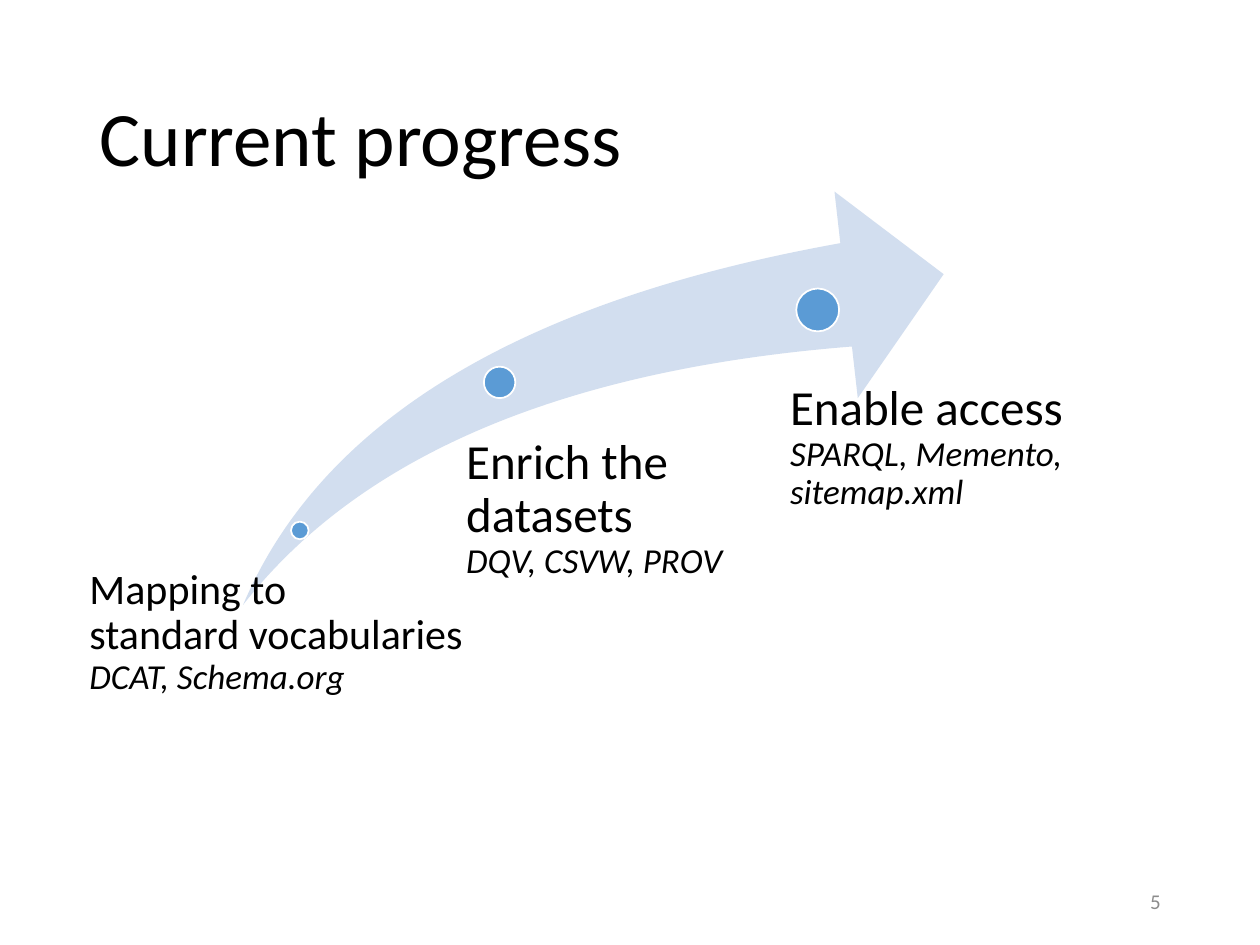
"""Build the "Current progress" slide with three milestones along a swoosh arrow."""
from pptx import Presentation
from pptx.dml.color import RGBColor
from pptx.enum.shapes import MSO_SHAPE
from pptx.enum.text import MSO_ANCHOR, PP_ALIGN
from pptx.util import Inches, Pt

SWOOSH, OVAL = MSO_SHAPE.SWOOSH_ARROW, MSO_SHAPE.OVAL
TOP, MIDDLE = MSO_ANCHOR.TOP, MSO_ANCHOR.MIDDLE
LEFT, RIGHT = PP_ALIGN.LEFT, PP_ALIGN.RIGHT
FONT = "Calibri"
COLORS = {
    "text": "000000",
    "number": "8C8C8C",
    "arrow": "D2DEEF",
    "dot": "5B9BD5",
    "outline": "FFFFFF",
}
MILESTONES = [
    {"dot": (2.31, 4.14, 0.14), "label": (0.64, 4.51, 3.06, 0.21), "inset": 0.07,
     "size": 24, "heading": ["Mapping to", "standard vocabularies"],
     "detail": "DCAT, Schema.org"},
    {"dot": (3.84, 2.91, 0.25), "label": (3.57, 3.47, 2.25, 0.73), "inset": 0.13,
     "size": 28, "heading": ["Enrich the datasets"],
     "detail": "DQV, CSVW, PROV"},
    {"dot": (6.32, 2.29, 0.34), "label": (6.09, 3.04, 2.48, 1.17), "inset": 0.18,
     "size": 28, "heading": ["Enable access"],
     "detail": "SPARQL, Memento, sitemap.xml"},
]


def color(name):
    return RGBColor.from_string(COLORS[name])


def add_run(paragraph, text, size, color_name="text", italic=False):
    run = paragraph.add_run()
    run.text = text
    run.font.name = FONT
    run.font.size = Pt(size)
    run.font.italic = italic
    run.font.color.rgb = color(color_name)


def set_title(slide, text):
    title = slide.shapes.title
    title.left, title.top = Inches(0.69), Inches(0.4)
    title.width, title.height = Inches(8.62), Inches(1.45)
    title.text_frame.vertical_anchor = MIDDLE
    paragraph = title.text_frame.paragraphs[0]
    paragraph.alignment = LEFT
    paragraph.line_spacing = 0.9
    add_run(paragraph, text, 44)


def add_text_box(slide, box, anchor):
    shape = slide.shapes.add_textbox(*map(Inches, box))
    shape.text_frame.word_wrap = True
    shape.text_frame.vertical_anchor = anchor
    return shape.text_frame


def add_filled_shape(slide, kind, box, fill_name):
    shape = slide.shapes.add_shape(kind, *map(Inches, box))
    shape.shadow.inherit = False
    shape.fill.solid()
    shape.fill.fore_color.rgb = color(fill_name)
    shape.line.fill.background()
    return shape


def add_arrow(slide):
    arrow = add_filled_shape(slide, SWOOSH, (1.93, 1.52, 5.56, 3.28), "arrow")
    arrow.adjustments[0] = 0.25
    arrow.adjustments[1] = 0.25


def add_milestone(slide, milestone):
    left, top, diameter = milestone["dot"]
    dot = add_filled_shape(slide, OVAL, (left, top, diameter, diameter), "dot")
    dot.line.color.rgb = color("outline")
    dot.line.width = Pt(1)

    frame = add_text_box(slide, milestone["label"], TOP)
    frame.margin_left = Inches(milestone["inset"])
    frame.margin_top = frame.margin_right = frame.margin_bottom = 0
    paragraph = frame.paragraphs[0]
    paragraph.line_spacing = 0.9
    for line in milestone["heading"]:
        add_run(paragraph, line, milestone["size"])
        paragraph.add_line_break()
    add_run(paragraph, milestone["detail"], 20, italic=True)


def add_slide_number(slide, number):
    frame = add_text_box(slide, (7.06, 6.95, 2.25, 0.4), MIDDLE)
    paragraph = frame.paragraphs[0]
    paragraph.alignment = RIGHT
    add_run(paragraph, number, 12, "number")


def main():
    presentation = Presentation()
    presentation.slide_width, presentation.slide_height = Inches(10), Inches(7.5)
    slide = presentation.slides.add_slide(presentation.slide_layouts[5])
    set_title(slide, "Current progress")
    add_slide_number(slide, "5")
    add_arrow(slide)
    for milestone in MILESTONES:
        add_milestone(slide, milestone)
    presentation.save("out.pptx")


if __name__ == "__main__":
    main()
